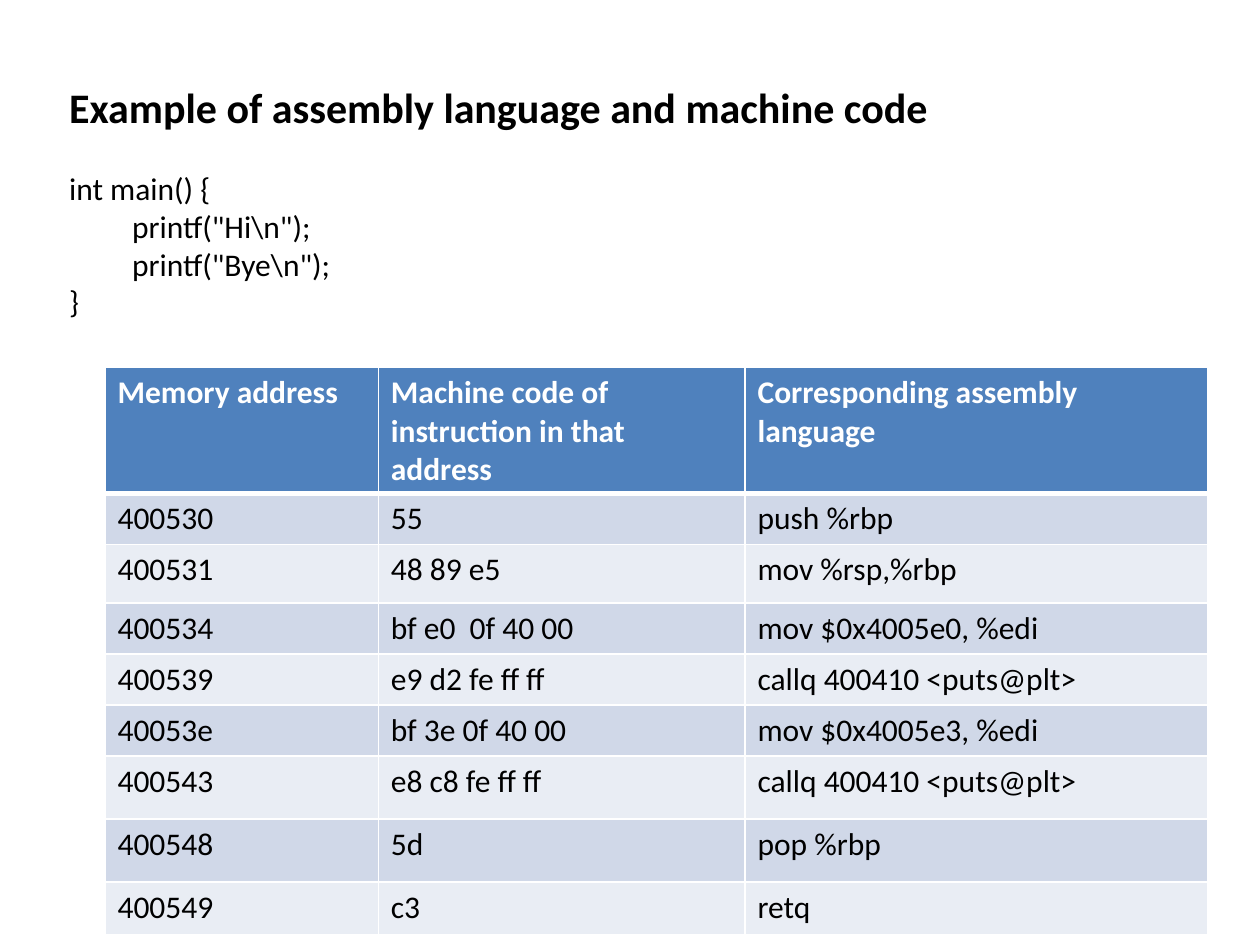
from lxml.etree import SubElement
from pptx import Presentation
from pptx.dml.color import RGBColor
from pptx.enum.text import MSO_ANCHOR as Anchor
from pptx.oxml.ns import qn
from pptx.util import Inches, Pt

UNIT = Inches(0.1)  # the slide is a grid of 100 columns by 75 rows
FONT = "Calibri"
BLACK, WHITE, HEADER = "000000", "FFFFFF", "4F81BD"
BANDS = ("D0D8E8", "E9EDF4")

TITLE = "Example of assembly language and machine code"
# Each code line: text, indent level
CODE = [
    ("int main() {", 0),
    ('printf("Hi\\n");', 1),
    ('printf("Bye\\n");', 1),
    ("}", 0),
]
LISTING = [
    ("Memory address", "Machine code of instruction in that address",
     "Corresponding assembly language"),
    ("400530", "55", "push %rbp"),
    ("400531", "48 89 e5", "mov %rsp,%rbp"),
    ("400534", "bf e0  0f 40 00", "mov $0x4005e0, %edi"),
    ("400539", "e9 d2 fe ff ff", "callq 400410 <puts@plt>"),
    ("40053e", "bf 3e 0f 40 00", "mov $0x4005e3, %edi"),
    ("400543", "e8 c8 fe ff ff", "callq 400410 <puts@plt>"),
    ("400548", "5d", "pop %rbp"),
    ("400549", "c3", "retq"),
]
COLUMN_WIDTHS = (21.7, 29.1, 36.7)
ROW_HEIGHTS = (9.9, 4.05, 4.65, 4.05, 4.05, 4.05, 5, 5, 4.2)


def grid(*lengths):
    """Turn grid units into slide lengths."""
    return [round(length * UNIT) for length in lengths]


def color(code):
    """Turn a hex string into a colour."""
    return RGBColor.from_string(code)


def write(para, text, size=18, code=BLACK, bold=False):
    """Add one formatted span to a paragraph."""
    span = para.add_run()
    span.text = text
    for name, value in {"name": FONT, "size": Pt(size), "bold": bold}.items():
        setattr(span.font, name, value)
    span.font.color.rgb = color(code)


def add_code_box(page):
    """Add the heading with the source program below it."""
    frame = page.shapes.add_textbox(*grid(4.5, 5.82, 84.2, 20.2)).text_frame
    for name, value in {"word_wrap": True, "vertical_anchor": Anchor.MIDDLE}.items():
        setattr(frame, name, value)
    write(frame.paragraphs[0], TITLE, size=24, bold=True)
    for number, (text, level) in enumerate(CODE):
        para = frame.add_paragraph()
        if number == 0:
            para.space_before = Pt(21.5)
        if level:
            para.level = level
            properties = para._p.get_or_add_pPr()
            properties.set("marL", str(level * Inches(0.5)))
            properties.set("indent", "0")
        write(para, text)


def add_border(cell, side, width):
    """Draw a white line on one side of a cell."""
    line = SubElement(cell._tc.get_or_add_tcPr(), qn(f"a:ln{side}"), w=str(Pt(width)))
    SubElement(SubElement(line, qn("a:solidFill")), qn("a:srgbClr"), val=WHITE)


def style_cell(cell, text, row):
    """Fill, border and label a cell according to its row."""
    is_header = row == 0
    for side in "LRTB":
        thick = (is_header and side == "B") or (row == 1 and side == "T")
        add_border(cell, side, 3 if thick else 1)
    cell.fill.solid()
    cell.fill.fore_color.rgb = color(HEADER if is_header else BANDS[(row - 1) % 2])
    write(cell.text_frame.paragraphs[0], text,
          code=WHITE if is_header else BLACK, bold=is_header)


def add_listing(page):
    """Add the table of addresses, machine code and assembly."""
    place = grid(8.33, 29.17, sum(COLUMN_WIDTHS), sum(ROW_HEIGHTS))
    table = page.shapes.add_table(len(LISTING), len(COLUMN_WIDTHS), *place).table
    for column, width in zip(table.columns, grid(*COLUMN_WIDTHS)):
        column.width = width
    for row, height in zip(table.rows, grid(*ROW_HEIGHTS)):
        row.height = height
    for row, texts in enumerate(LISTING):
        for column, text in enumerate(texts):
            style_cell(table.cell(row, column), text, row)


def main():
    """Build the slide and save the deck."""
    deck = Presentation()
    deck.slide_width, deck.slide_height = grid(100, 75)
    page = deck.slides.add_slide(deck.slide_layouts[6])
    add_code_box(page)
    add_listing(page)
    deck.save("out.pptx")


main()
